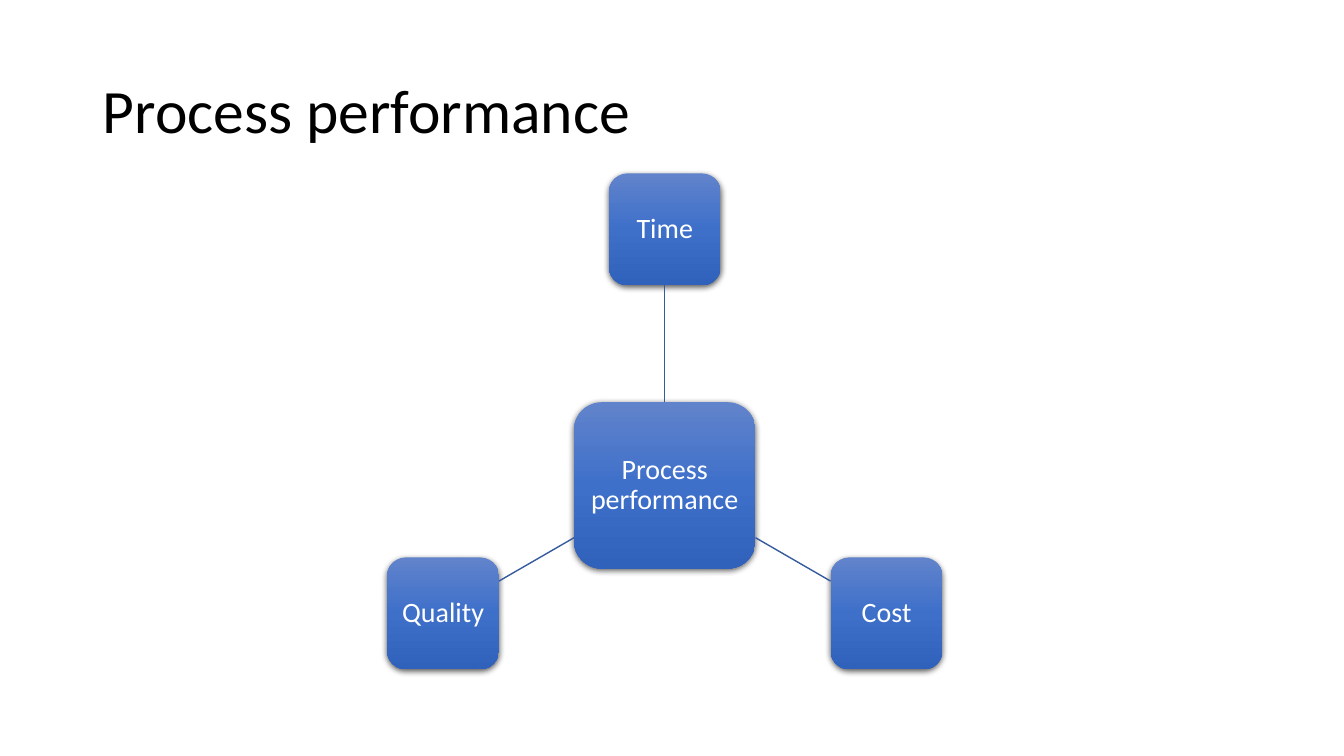
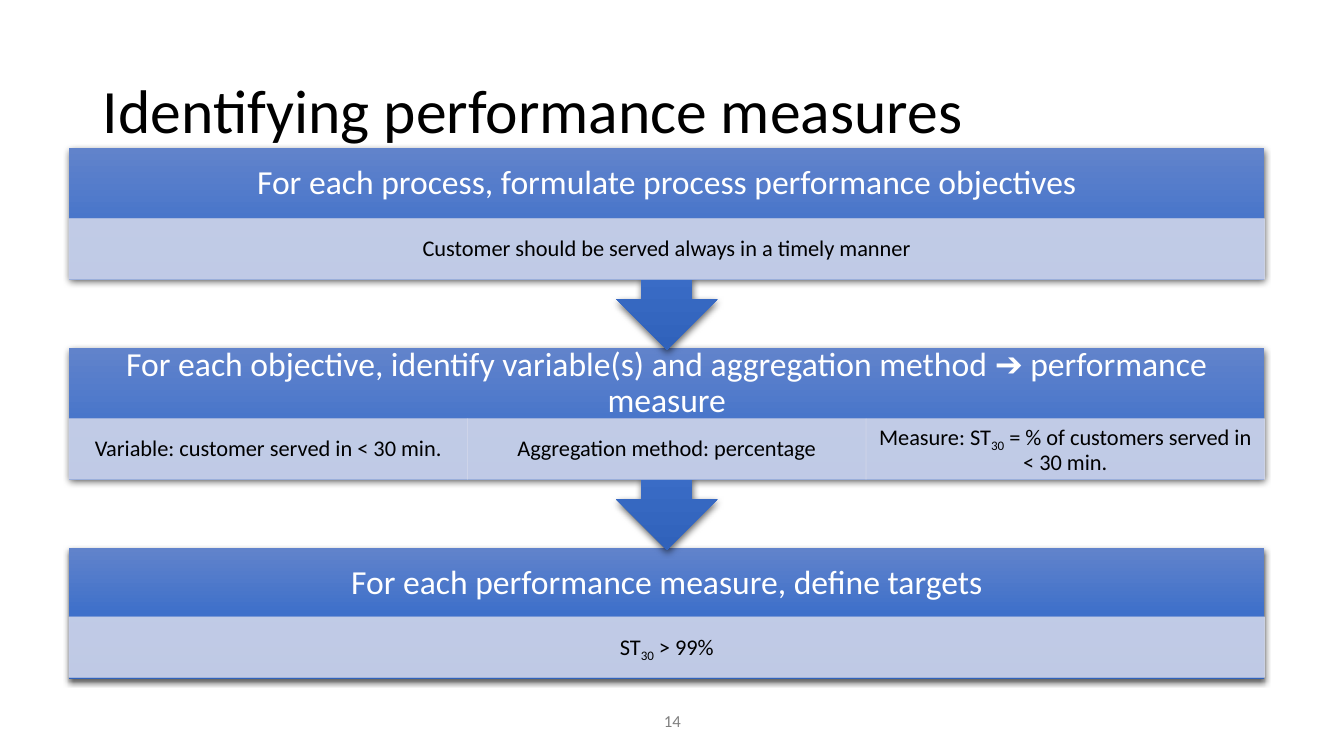
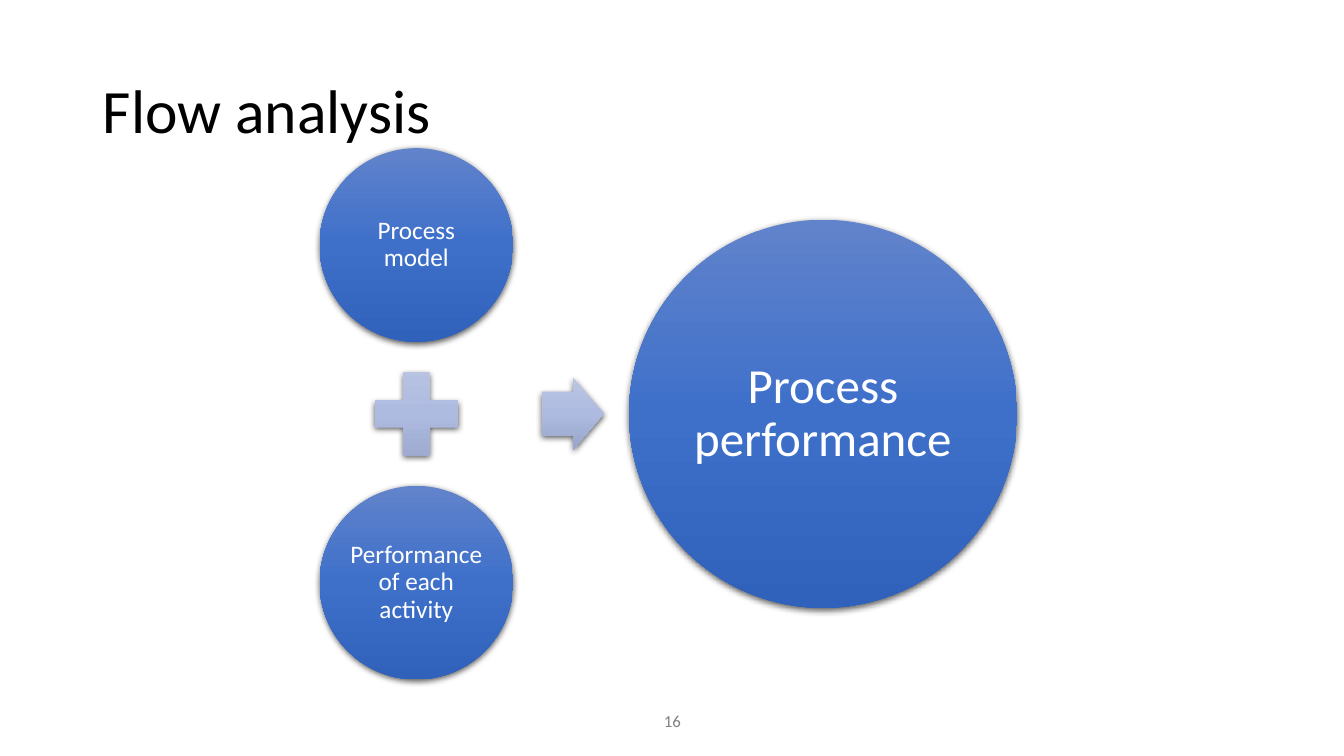
from copy import deepcopy
from math import cos, radians, sin

from lxml import etree
from pptx import Presentation
from pptx import util as u
from pptx.dml.color import RGBColor
from pptx.enum import shapes, text
from pptx.oxml.ns import qn

BLACK = RGBColor(0x00, 0x00, 0x00)
WHITE = RGBColor(0xFF, 0xFF, 0xFF)
GREY = RGBColor(0x80, 0x80, 0x80)
LINK_BLUE = RGBColor(0x36, 0x5B, 0x9D)
PALE_BLUE = RGBColor(0xCF, 0xD5, 0xEA)
BLUES = (RGBColor(0x61, 0x83, 0xCB), RGBColor(0x3E, 0x70, 0xCA), RGBColor(0x30, 0x62, 0xBB))
PALES = (RGBColor(0xBB, 0xC5, 0xE3), RGBColor(0xAE, 0xBB, 0xE0), RGBColor(0x98, 0xA4, 0xCB))

FONT = "Calibri"
CELL = u.Inches(0.1)  # the slide is a grid of square cells
COLUMNS, ROWS = 133.33, 75
TITLE_ONLY = 5
KIND = shapes.MSO_SHAPE


def cells(*counts):
    return [u.Emu(round(count * CELL)) for count in counts]


def around(x, y, width, height):
    """Box of the given size centred on a point."""
    return x - width / 2, y - height / 2, width, height


def write(frame, wording, size=20, color=WHITE, align=text.PP_ALIGN.CENTER,
          spacing=0.9, inset=(0.6, 0.6)):
    """Fill a text frame; parts between underscores become subscripts."""
    frame.word_wrap = True
    frame.auto_size = text.MSO_AUTO_SIZE.NONE
    frame.vertical_anchor = text.MSO_ANCHOR.MIDDLE
    frame.margin_left = frame.margin_right = cells(inset[0])[0]
    frame.margin_top = frame.margin_bottom = cells(inset[1])[0]
    paragraph = frame.paragraphs[0]
    paragraph.alignment = align
    paragraph.line_spacing = spacing
    for index, part in enumerate(wording.split("_")):
        run = paragraph.add_run()
        run.text = part
        run.font.name = FONT
        run.font.size = u.Pt(size)
        run.font.color.rgb = color
        if index % 2:
            run.font._element.set("baseline", "-25000")


class Deck:
    def __init__(self):
        self.file = Presentation()
        self.file.slide_width, self.file.slide_height = cells(COLUMNS, ROWS)
        self.slide = None

    def new_slide(self, title, number=None):
        self.slide = self.file.slides.add_slide(self.file.slide_layouts[TITLE_ONLY])
        heading = self.slide.shapes.title
        heading.left, heading.top, heading.width, heading.height = cells(9.2, 4, 115, 14.5)
        write(heading.text_frame, title, size=44, color=BLACK,
              align=text.PP_ALIGN.LEFT, inset=(1, 0.5))
        if number:
            self.label((44.2, 69.5, 45, 4), number, size=12, color=GREY, spacing=1)

    def label(self, box, wording, **style):
        write(self.slide.shapes.add_textbox(*cells(*box)).text_frame, wording, **style)

    def raised(self, kind, box, wording="", colors=BLUES, **style):
        """Shape with a vertical gradient and a soft shadow below."""
        shape = self.slide.shapes.add_shape(kind, *cells(*box))
        shape.line.fill.background()
        shape.fill.gradient()
        shape.fill.gradient_angle = 270
        properties = shape._element.spPr
        stops = properties.find(".//" + qn("a:gsLst"))
        stops.insert(1, deepcopy(stops[0]))
        for stop, position, color in zip(shape.fill.gradient_stops, (0, 0.5, 1), colors):
            stop.position = position
            stop.color.rgb = color
        shape.shadow.inherit = False
        shadow = etree.SubElement(properties.find(qn("a:effectLst")), qn("a:outerShdw"),
                                  blurRad=str(u.Pt(4.5)), dist=str(u.Pt(1.5)),
                                  dir="5400000", algn="ctr", rotWithShape="0")
        black = etree.SubElement(shadow, qn("a:srgbClr"), val=str(BLACK))
        etree.SubElement(black, qn("a:alpha"), val="63000")
        if wording:
            write(shape.text_frame, wording, **style)
        return shape

    def detail(self, box, wording):
        """Translucent pale cell with small black text."""
        shape = self.slide.shapes.add_shape(KIND.RECTANGLE, *cells(*box))
        shape.shadow.inherit = False
        shape.line.width = u.Pt(0.5)
        for fill in (shape.fill, shape.line.fill):
            fill.solid()
            fill.fore_color.rgb = PALE_BLUE
        for color in shape._element.spPr.iter(qn("a:srgbClr")):
            etree.SubElement(color, qn("a:alpha"), val="90000")
        write(shape.text_frame, wording, size=16, color=BLACK, inset=(1.2, 0.2))

    def link(self, start, end):
        line = self.slide.shapes.add_connector(shapes.MSO_CONNECTOR.STRAIGHT,
                                               *cells(*start, *end))
        line.line.color.rgb = LINK_BLUE
        line.line.width = u.Pt(1)
        etree.SubElement(line._element.spPr, qn("a:effectLst"))
        return line


def add_performance(deck):
    deck.new_slide("Process performance")
    hub_x, hub_y, radius = 65.95, 48.15, 25.4
    hub_size, aspect_size = (18, 16.5), (11.1, 11.1)
    hub = deck.raised(KIND.ROUNDED_RECTANGLE, around(hub_x, hub_y, *hub_size),
                      "Process performance")
    for aspect, angle in (("Time", -90), ("Cost", 30), ("Quality", 150)):
        dx, dy = cos(radians(angle)), sin(radians(angle))

        def on_ray(distance):
            return hub_x + distance * dx, hub_y + distance * dy

        def reach(size):
            """Distance along the ray from a box's centre to its edge."""
            return min(side / 2 / max(abs(d), 0.01) for side, d in zip(size, (dx, dy)))

        node = deck.raised(KIND.ROUNDED_RECTANGLE,
                           around(*on_ray(radius), *aspect_size), aspect)
        line = deck.link(on_ray(reach(hub_size)), on_ray(radius - reach(aspect_size)))
        if angle == -90:
            line.begin_connect(hub, 0)
            line.end_connect(node, 2)


def add_measures(deck):
    deck.new_slide("Identifying performance measures", "14")
    left, top, width, pitch = 6.85, 14.7, 118.6, 19.85
    header_height, detail_height = 7, 6
    steps = (
        ("For each process, formulate process performance objectives",
         ["Customer should be served always in a timely manner"]),
        ("For each objective, identify variable(s) and aggregation method ➔ performance measure",
         ["Variable: customer served in < 30 min.", "Aggregation method: percentage",
          "Measure: ST_30_ = % of customers served in < 30 min."]),
        ("For each performance measure, define targets", ["ST_30_ > 99%"]),
    )
    last = len(steps) - 1
    for index in range(last, -1, -1):
        header, details = steps[index]
        y = top + index * pitch
        if index == last:
            kind, height, detail_top = KIND.RECTANGLE, 13, y + 6.8
        else:
            kind, height, detail_top = KIND.DOWN_ARROW_CALLOUT, 20, y + header_height
        deck.raised(kind, (left, y, width, height))
        deck.label((left, y, width, header_height), header, size=24, inset=(1.9, 0))
        share = width / len(details)
        for column, wording in enumerate(details):
            deck.detail((left + column * share, detail_top, share, detail_height), wording)


def add_flow(deck):
    deck.new_slide("Flow analysis", "16")
    input_x, middle, offset = 41.3, 41.05, 16.75
    for wording, side in (("Process model", -1), ("Performance of each activity", 1)):
        deck.raised(KIND.OVAL, around(input_x, middle + side * offset, 19.2, 19.2),
                    wording, size=18, inset=(0, 0.3))
    deck.raised(KIND.MATH_PLUS, around(input_x, middle, 11.2, 11.2), colors=PALES)
    arrow = deck.raised(KIND.RIGHT_ARROW, around(56.85, middle, 6.1, 7.2), colors=PALES)
    arrow.adjustments[0], arrow.adjustments[1] = 0.6, 0.5
    deck.raised(KIND.OVAL, around(81.65, middle, 38.5, 38.5),
                "Process performance", size=35, inset=(0.5, 0.5))


def main():
    deck = Deck()
    add_performance(deck)
    add_measures(deck)
    add_flow(deck)
    deck.file.save("out.pptx")


if __name__ == "__main__":
    main()
